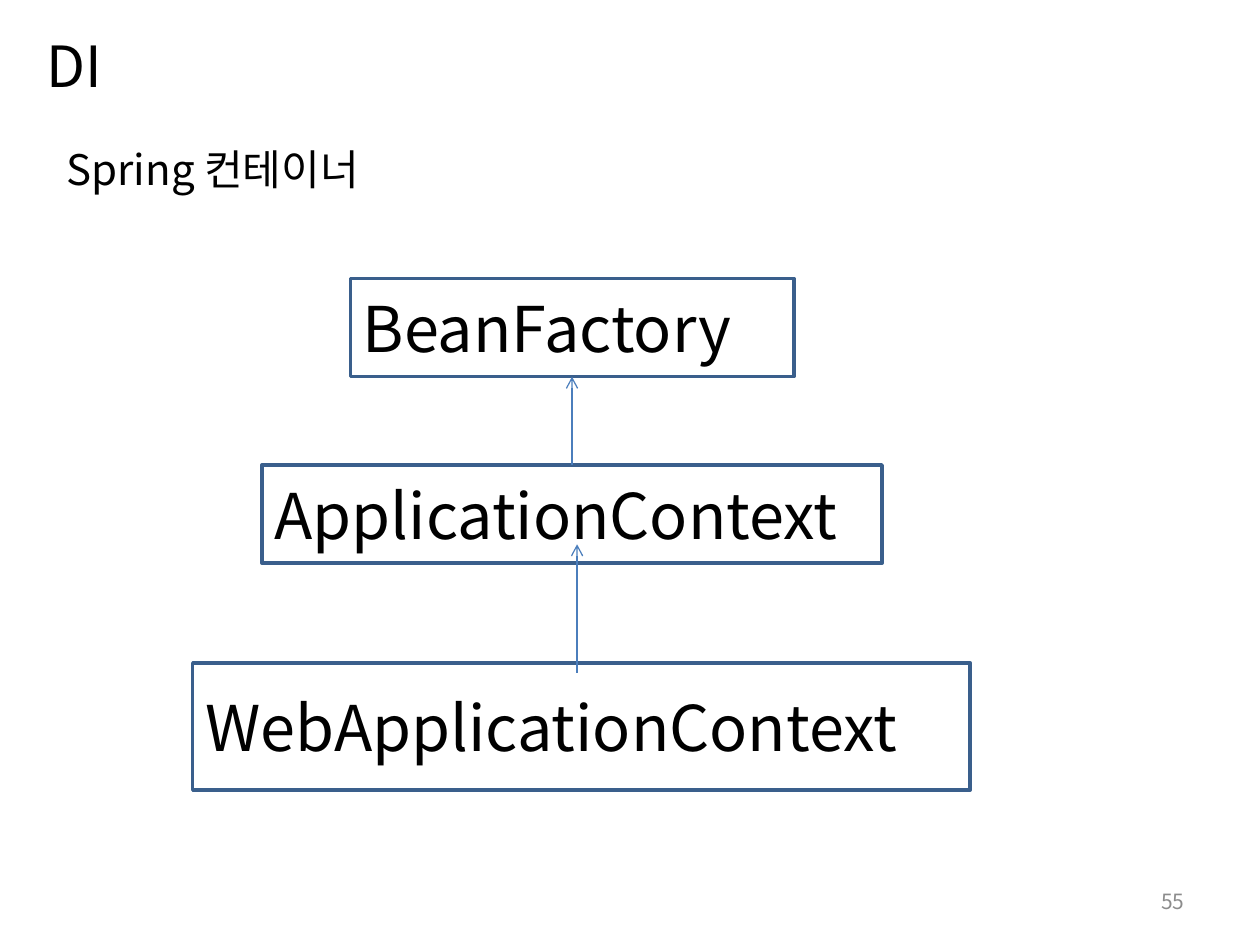
from lxml import etree
from pptx import Presentation
from pptx import util as u
from pptx.dml.color import RGBColor
from pptx.enum import shapes, text
from pptx.oxml.ns import qn

BLACK = RGBColor(0x00, 0x00, 0x00)
GRAY = RGBColor(0x8C, 0x8C, 0x8C)
BOX_LINE = RGBColor(0x3A, 0x5F, 0x8C)
ARROW_LINE = RGBColor(0x4B, 0x7E, 0xBC)


class SlideBuilder:
    font_name = "Noto Sans CJK KR"

    def __init__(self, slide):
        self.slide = slide

    def set_text(self, shape, wording, size, color=BLACK,
                 align=text.PP_ALIGN.LEFT, anchor=text.MSO_ANCHOR.MIDDLE):
        frame = shape.text_frame
        frame.text = wording
        frame.word_wrap = True
        frame.auto_size = text.MSO_AUTO_SIZE.NONE
        frame.vertical_anchor = anchor
        paragraph = frame.paragraphs[0]
        paragraph.alignment = align
        font = paragraph.font
        font.size = u.Pt(size)
        font.color.rgb = color
        font.name = self.font_name
        # Hangul takes its typeface from the East Asian font
        properties = paragraph._p.pPr.find(qn("a:defRPr"))
        etree.SubElement(properties, qn("a:ea"), typeface=self.font_name)

    def title(self, wording, left, top, width, height):
        title = self.slide.shapes.title
        title.left, title.top = u.Inches(left), u.Inches(top)
        title.width, title.height = u.Inches(width), u.Inches(height)
        self.set_text(title, wording, 32.4)

    def label(self, wording, left, top, width, height, size, **style):
        label = self.slide.shapes.add_textbox(
            u.Inches(left), u.Inches(top), u.Inches(width), u.Inches(height))
        label.text_frame.margin_top = label.text_frame.margin_bottom = 0
        self.set_text(label, wording, size, **style)

    def box(self, wording, left, top, width, height):
        box = self.slide.shapes.add_shape(
            shapes.MSO_SHAPE.RECTANGLE,
            u.Inches(left), u.Inches(top), u.Inches(width), u.Inches(height))
        box.shadow.inherit = False
        box.fill.background()
        box.line.color.rgb = BOX_LINE
        box.line.width = u.Pt(2)
        self.set_text(box, wording, 36)

    def up_arrow(self, x, bottom, top):
        arrow = self.slide.shapes.add_connector(
            shapes.MSO_CONNECTOR.STRAIGHT,
            u.Inches(x), u.Inches(bottom), u.Inches(x), u.Inches(top))
        arrow.line.color.rgb = ARROW_LINE
        arrow.line.width = u.Pt(0.75)
        properties = arrow._element.spPr
        etree.SubElement(properties.find(qn("a:ln")), qn("a:tailEnd"), type="arrow")
        etree.SubElement(properties, qn("a:effectLst"))


def main():
    presentation = Presentation()
    presentation.slide_width = u.Inches(10)
    presentation.slide_height = u.Inches(7.5)
    title_only = presentation.slide_layouts[5]
    builder = SlideBuilder(presentation.slides.add_slide(title_only))

    builder.title("DI", 0.27, 0.21, 9.45, 0.61)
    builder.label("Spring 컨테이너", 0.43, 1.14, 5.04, 0.41, 24,
                  anchor=text.MSO_ANCHOR.TOP)
    builder.box("BeanFactory", 2.78, 2.21, 3.52, 0.78)
    builder.box("ApplicationContext", 2.08, 3.69, 4.92, 0.78)
    builder.box("WebApplicationContext", 1.53, 5.26, 6.17, 1.01)
    builder.up_arrow(4.54, 3.69, 2.99)
    builder.up_arrow(4.58, 5.34, 4.32)
    builder.label("55", 7.17, 6.95, 2.33, 0.4, 12, color=GRAY,
                  align=text.PP_ALIGN.RIGHT)

    presentation.save("out.pptx")


if __name__ == "__main__":
    main()
